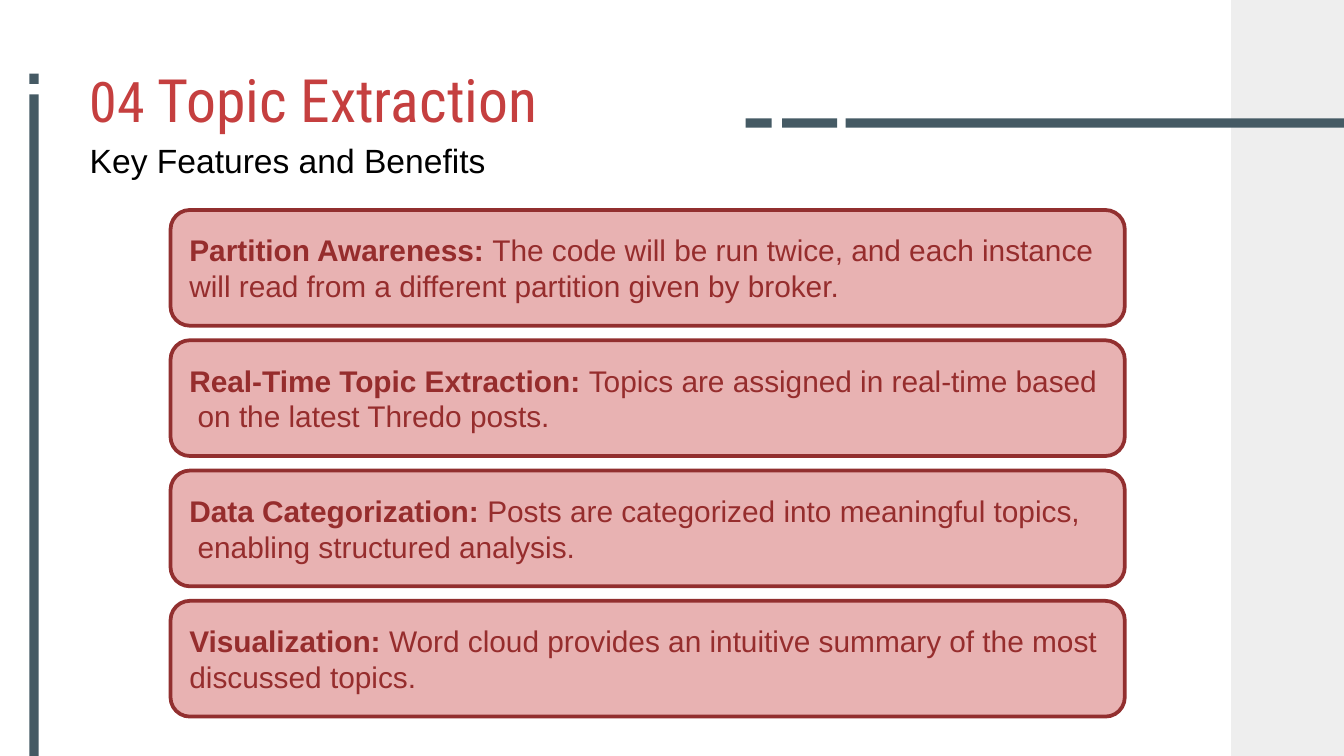
from pptx import Presentation
from pptx.dml.color import RGBColor
from pptx.enum.shapes import MSO_SHAPE as SHAPE
from pptx.enum.text import MSO_ANCHOR as ANCHOR, PP_ALIGN as ALIGN
from pptx.util import Pt

PANEL = RGBColor(0xEE, 0xEE, 0xEE)
SLATE = RGBColor(0x45, 0x5A, 0x64)
RED = RGBColor(0xC5, 0x3F, 0x3F)
BLACK = RGBColor(0x00, 0x00, 0x00)
CARD_FILL = RGBColor(0xE8, 0xB2, 0xB2)
CARD_LINE = RGBColor(0x92, 0x2F, 0x2F)
CARD_TEXT = RGBColor(0x96, 0x2D, 0x2D)

BAR = 5  # thickness of the decorative bars
DASHES = [(399.5, 14), (419, 29.5), (453, 368)]  # left, width
POSTS = [(39.5, 5.5), (50.5, 398)]  # top, height

CARD_TOP, CARD_PITCH = 112.5, 69.8
# Heading, then the lines of the description
FEATURES = [
    ("Partition Awareness: ",
     ["The code will be run twice, and each instance will read from a "
      "different partition given by broker."]),
    ("Real-Time Topic Extraction: ",
     ["Topics are assigned in real-time based",
      " on the latest Thredo posts."]),
    ("Data Categorization: ",
     ["Posts are categorized into meaningful topics,",
      " enabling structured analysis."]),
    ("Visualization: ",
     ["Word cloud provides an intuitive summary of the most discussed "
      "topics."]),
]


def set_font(font, name, size, color):
    font.name = name
    font.size = Pt(size)
    font.color.rgb = color


def add_run(p, text):
    r = p.add_run()
    r.text = text
    return r


def add_block(s, kind, x, y, w, h, fill):
    """Add a filled shape without line or shadow."""
    sp = s.shapes.add_shape(kind, Pt(x), Pt(y), Pt(w), Pt(h))
    sp.shadow.inherit = False
    sp.fill.solid()
    sp.fill.fore_color.rgb = fill
    sp.line.fill.background()
    return sp


def add_decoration(s):
    add_block(s, SHAPE.RECTANGLE, 659.5, -6, 102, 416, PANEL)
    for x, w in DASHES:
        add_block(s, SHAPE.RECTANGLE, x, 63.4, w, BAR, SLATE)
    for y, h in POSTS:
        add_block(s, SHAPE.RECTANGLE, 15.8, y, BAR, h, SLATE)


def add_title(s):
    tf = s.shapes.add_textbox(Pt(41), Pt(26.6), Pt(502.5), Pt(45.4)).text_frame
    tf.word_wrap = True
    tf.margin_left = tf.margin_right = Pt(7.2)
    tf.margin_top = tf.margin_bottom = Pt(7.2)
    p = tf.paragraphs[0]
    for text, size in (("04 ", 30), ("Topic Extraction", 32)):
        set_font(add_run(p, text).font, "Roboto Condensed", size, RED)


def add_subtitle(s):
    tf = s.shapes.add_textbox(Pt(41), Pt(71.3), Pt(229), Pt(29)).text_frame
    p = tf.paragraphs[0]
    p.text = "Key Features and Benefits"
    set_font(p.font, "Arial", 18, BLACK)


def add_card(s, y, heading, lines):
    sp = add_block(s, SHAPE.ROUNDED_RECTANGLE, 91.4, y, 511.2, 62, CARD_FILL)
    sp.line.color.rgb = CARD_LINE
    sp.line.width = Pt(2)
    tf = sp.text_frame
    tf.word_wrap = True
    tf.vertical_anchor = ANCHOR.MIDDLE
    for i, line in enumerate(lines):
        p = tf.add_paragraph() if i else tf.paragraphs[0]
        p.alignment = ALIGN.LEFT
        set_font(p.font, "Arial", 16, CARD_TEXT)
        if i == 0:
            add_run(p, heading).font.bold = True
        add_run(p, line)


def main():
    prs = Presentation()
    prs.slide_width, prs.slide_height = Pt(720), Pt(405)
    s = prs.slides.add_slide(prs.slide_layouts[6])
    add_decoration(s)
    add_title(s)
    add_subtitle(s)
    for i, (heading, lines) in enumerate(FEATURES):
        add_card(s, CARD_TOP + i * CARD_PITCH, heading, lines)
    prs.save("out.pptx")


if __name__ == "__main__":
    main()
